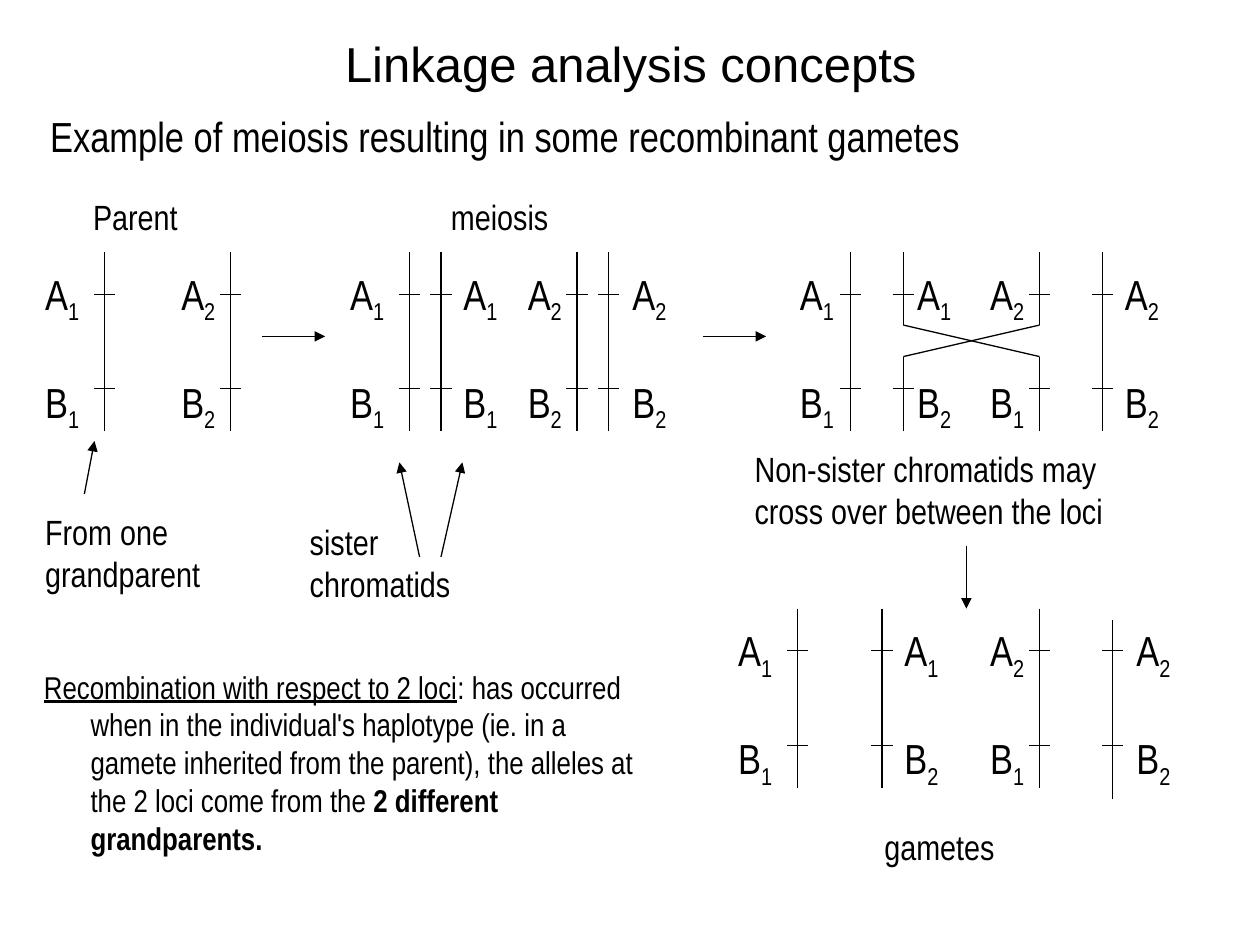
from lxml import etree
from pptx import Presentation
from pptx.dml.color import RGBColor
from pptx.enum.shapes import MSO_CONNECTOR
from pptx.enum.text import MSO_ANCHOR, PP_ALIGN
from pptx.oxml.ns import qn
from pptx.util import Inches, Pt

STRAIGHT = MSO_CONNECTOR.STRAIGHT
COLORS = {"ink": "000000", "paper": "FFFFFF"}
NARROW = "Arial Narrow"

TITLE = "Linkage analysis concepts"
# left, top, width, size, lines
CAPTIONS = [
    (0.3, 0.83, 9.57, 24, ["Example of meiosis resulting in some recombinant gametes"]),
    (0.64, 1.5, 1.07, 20, ["Parent"]),
    (3.48, 1.5, 1.19, 20, ["meiosis"]),
    (0.26, 4, 1.85, 20, ["From one", "grandparent"]),
    (2.36, 4.08, 1.68, 20, ["sister", "chromatids"]),
    (5.89, 3.5, 3.81, 20, ["Non-sister chromatids may", "cross over between the loci"]),
    (6.92, 6.5, 1.75, 20, ["gametes"]),
]
# text, underlined, bold
DEFINITION = [
    ("Recombination with respect to 2 loci", True, False),
    (": has occurred when in the individual's haplotype (ie. in a gamete inherited "
     "from the parent), the alleles at the 2 loci come from the ", False, False),
    ("2 different grandparents.", False, True),
]

# row top: (line x, label x, allele at A, allele at B)
ROWS = {
    2: [
        (0.83, 0.26, 1, 1), (1.83, 1.34, 2, 2),
        (3.25, 2.68, 1, 1), (3.5, 3.58, 1, 1), (4.58, 4.09, 2, 2), (4.83, 4.92, 2, 2),
        (6.75, 6.25, 1, 1), (7.17, 7.18, 1, 2), (8.25, 7.76, 2, 1), (8.75, 8.83, 2, 2),
    ],
    4.83: [(6.33, 5.76, 1, 1), (7, 7.08, 1, 2), (8.25, 7.76, 2, 1), (8.83, 8.92, 2, 2)],
}
LENGTH, TICK = 1.42, 0.085
LOCI = (0.335, 1.085)
CROSSING = (7.17, 8.25)
CROSS_TOP, CROSS_BOTTOM = 2.58, 2.83
LINE_SHIFT = {(4.83, 8.83): 0.09}

ARROWS = [
    (2.08, 2.67, 2.58, 2.67), (5.58, 2.67, 6.08, 2.67), (7.67, 4.33, 7.67, 4.83),
    (0.67, 3.92, 0.75, 3.5), (3.33, 4.42, 3.17, 3.67), (3.5, 4.42, 3.67, 3.67),
]


def style(font, size, name=NARROW):
    font.size, font.name = Pt(size), name
    font.color.rgb = RGBColor.from_string(COLORS["ink"])


def add_line(s, x1, y1, x2, y2, arrow=False):
    c = s.shapes.add_connector(STRAIGHT, *map(Inches, (x1, y1, x2, y2)))
    c.line.width = Pt(0.75)
    c.line.color.rgb = RGBColor.from_string(COLORS["ink"])
    if arrow:
        etree.SubElement(c.line._get_or_add_ln(), qn("a:tailEnd"), type="triangle")
    etree.SubElement(c._element.spPr, qn("a:effectLst"))


def add_text(s, x, y, w, h, size, lines):
    """Each line is a list of runs; returns the paragraphs and their runs."""
    tf = s.shapes.add_textbox(*map(Inches, (x, y, w, h))).text_frame
    tf.word_wrap = True
    for i, runs in enumerate(lines):
        p = tf.add_paragraph() if i else tf.paragraphs[0]
        style(p.font, size)
        for text in runs:
            p.add_run().text = text
    return tf.paragraphs


def add_chromatid(s, top, x, label_x, a, b):
    start = top + LINE_SHIFT.get((top, x), 0)
    if top == 2 and x in CROSSING:
        other = CROSSING[1 - CROSSING.index(x)]
        add_line(s, x, start, x, CROSS_TOP)
        add_line(s, x, CROSS_TOP, other, CROSS_BOTTOM)
        add_line(s, x, CROSS_BOTTOM, x, start + LENGTH)
    else:
        add_line(s, x, start, x, start + LENGTH)
    for locus in LOCI:
        add_line(s, x - TICK, top + locus, x + TICK, top + locus)
    paragraphs = add_text(s, label_x, top + 0.08, 0.58, 1.41, 24,
                          [["A", str(a)], ["B", str(b)]])
    paragraphs[1].space_before = Pt(29)
    for p in paragraphs:
        p.runs[1].font._element.set("baseline", "-25000")


def main():
    prs = Presentation()
    prs.slide_width, prs.slide_height = Inches(10), Inches(7.5)
    s = prs.slides.add_slide(prs.slide_layouts[5])
    s.background.fill.solid()
    s.background.fill.fore_color.rgb = RGBColor.from_string(COLORS["paper"])

    title = s.shapes.title
    title.left, title.top, title.width, title.height = map(Inches, (0.42, 0.25, 9.17, 0.5))
    title.text_frame.text = TITLE
    title.text_frame.vertical_anchor = MSO_ANCHOR.MIDDLE
    p = title.text_frame.paragraphs[0]
    p.alignment = PP_ALIGN.CENTER
    style(p.font, 28, "Arial")

    for x, y, w, size, lines in CAPTIONS:
        add_text(s, x, y, w, 0.1 + 0.34 * len(lines), size, [[line] for line in lines])
    for top, chromatids in ROWS.items():
        for chromatid in chromatids:
            add_chromatid(s, top, *chromatid)
    for arrow in ARROWS:
        add_line(s, *arrow, arrow=True)

    p = add_text(s, 0.25, 5.25, 4.92, 1.67, 18, [[part[0] for part in DEFINITION]])[0]
    p.space_before = Pt(4.5)
    pPr = p._p.get_or_add_pPr()
    pPr.set("marL", str(Inches(0.37)))
    pPr.set("indent", str(Inches(-0.37)))
    for r, (_, underlined, bold) in zip(p.runs, DEFINITION):
        r.font.underline, r.font.bold = underlined, bold

    prs.save("out.pptx")


if __name__ == "__main__":
    main()
